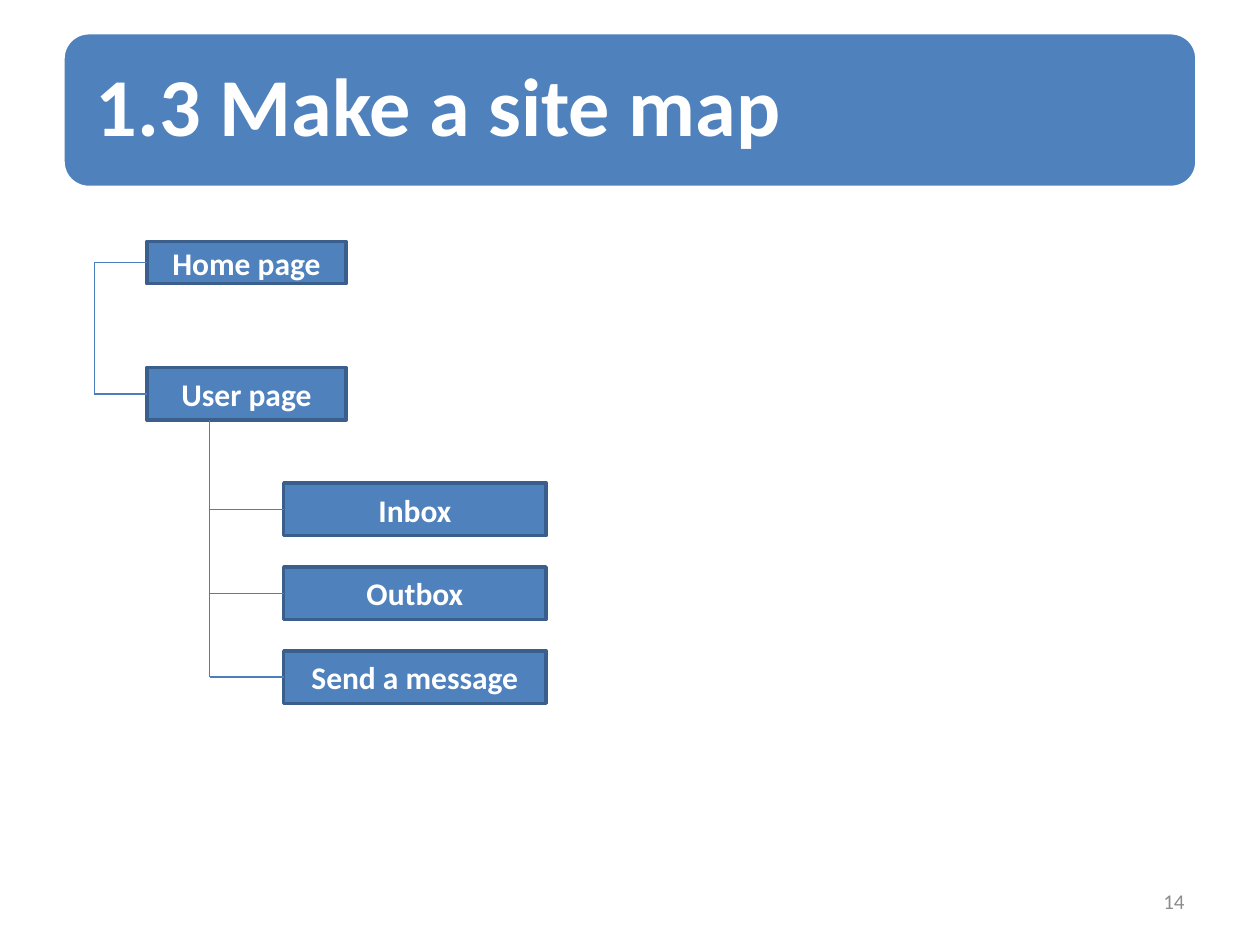
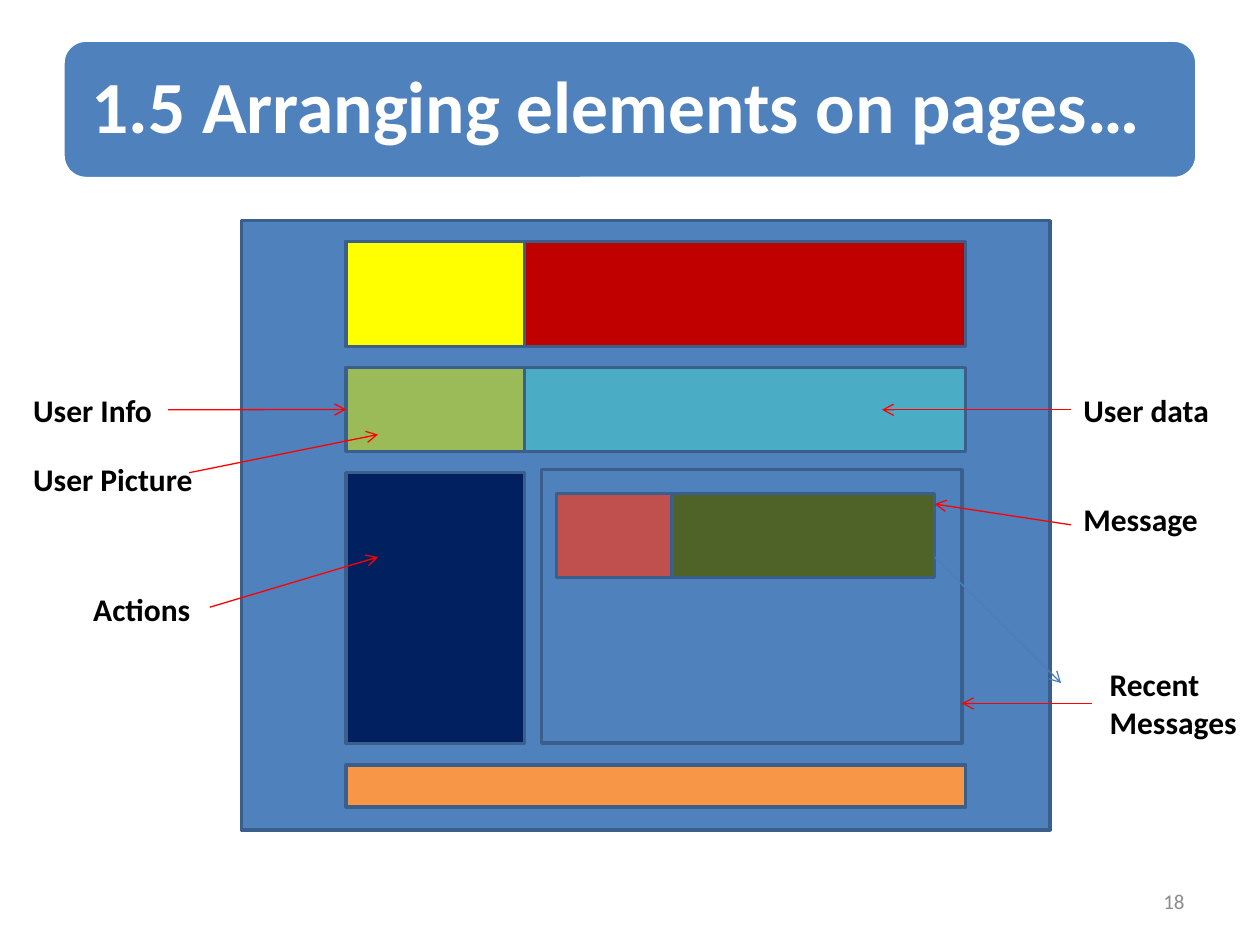
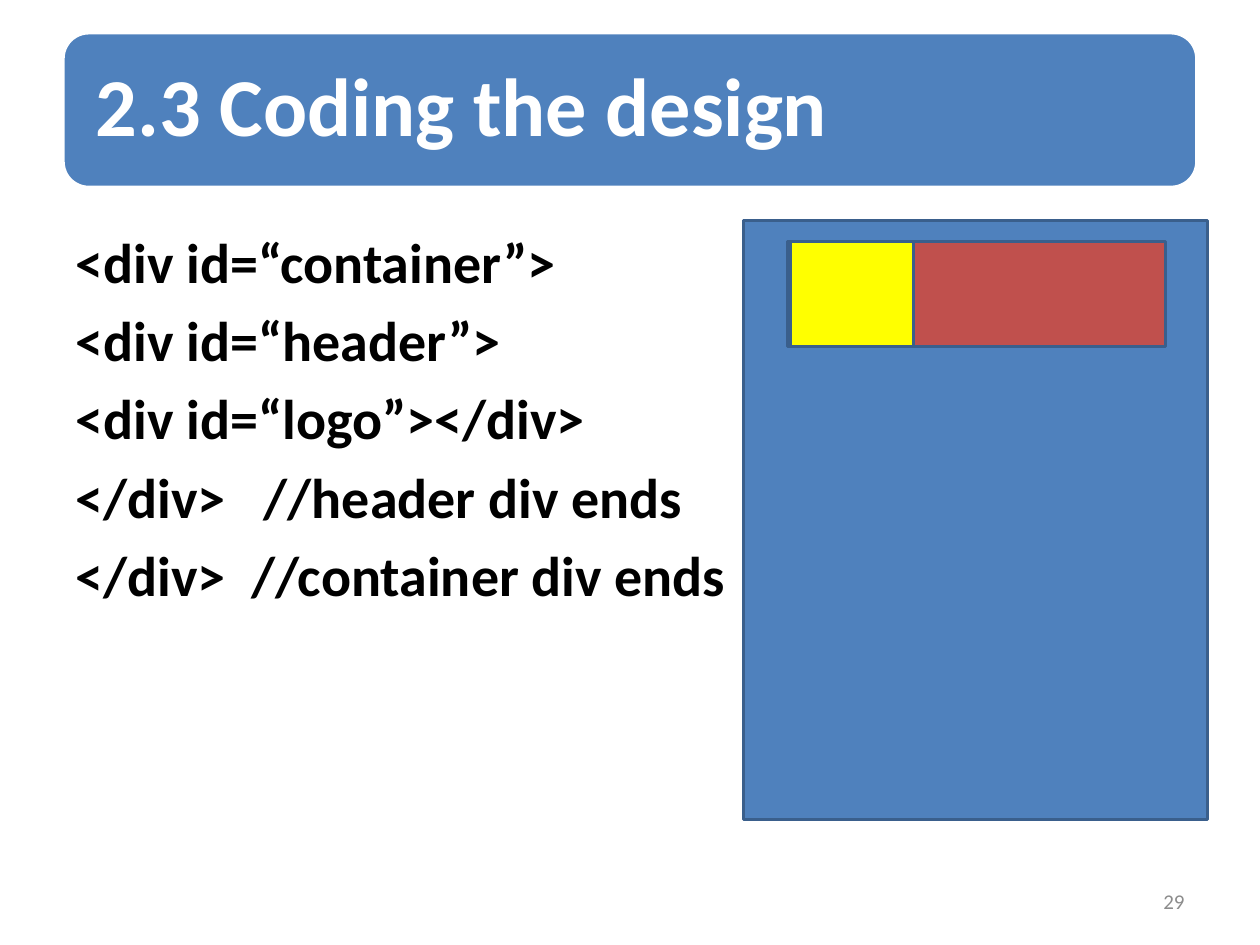
from lxml import etree
from pptx import Presentation
from pptx import util as u
from pptx.dml.color import RGBColor
from pptx.enum import shapes, text
from pptx.oxml.ns import qn

FONT = "Calibri"
COLORS = {
    "blue": "4F81BD", "edge": "3A5F8C", "link": "4B7EBC", "white": "FFFFFF",
    "black": "000000", "grey": "8C8C8C", "arrow": "FF0000", "crimson": "C00000",
    "yellow": "FFFF00", "orange": "F79646", "aqua": "4BACC6", "green": "9BBB59",
    "navy": "002060", "olive": "4F6228", "brick": "C0504D",
}
LEFT, CENTER, RIGHT = text.PP_ALIGN.LEFT, text.PP_ALIGN.CENTER, text.PP_ALIGN.RIGHT
TOP, MIDDLE = text.MSO_ANCHOR.TOP, text.MSO_ANCHOR.MIDDLE
TITLE_ONLY, TITLE_BODY = 5, 1

BAND_LEFT, BAND_WIDTH, BAND_INSET = 1.27, 22.86, 0.15
LARGE_BAND = {"top": 0.66, "height": 3.12, "size": 47, "margin": 0.51}
SMALL_BAND = {"top": 0.81, "height": 2.79, "size": 42, "margin": 0.43}
NUMBER_BOX = (18.2, 17.65, 5.93, 1.02)

HOME = ("Home page", (2.96, 4.87, 4.02, 0.85))
USER = ("User page", (2.96, 7.41, 4.02, 1.06))
CHILDREN = ["Inbox", "Outbox", "Send a message"]
CHILD_LEFT, CHILD_TOP, CHILD_WIDTH, CHILD_HEIGHT = 5.72, 9.74, 5.29, 1.06
CHILD_STEP = 1.69
LOOP_X, TRUNK_X = 1.9, 4.23

LAYOUT_BLOCKS = {
    "page": ("blue", (4.87, 4.45, 16.3, 12.28)),
    "header": ("crimson", (6.98, 4.87, 12.49, 2.12)),
    "logo": ("yellow", (6.98, 4.87, 3.6, 2.12)),
    "footer": ("orange", (6.98, 15.42, 12.49, 0.85)),
    "user data": ("aqua", (6.98, 7.41, 12.49, 1.69)),
    "user info": ("green", (6.98, 7.41, 3.6, 1.69)),
    "actions": ("navy", (6.98, 9.53, 3.6, 5.46)),
    "recent messages": ("blue", (10.92, 9.47, 8.47, 5.51)),
    "message": ("olive", (11.22, 9.95, 7.62, 1.69)),
    "sender": ("brick", (11.22, 9.95, 2.33, 1.69)),
}
LABELS = [
    ("User Info", (0.42, 7.75, 2.96, 1.02)),
    ("User Picture", (0.42, 9.14, 3.81, 1.02)),
    ("User data", (21.59, 7.75, 3.39, 1.02)),
    ("Actions", (1.63, 11.76, 3.18, 1.02)),
    ("Recent Messages", (22.12, 13.28, 3.39, 1.8)),
    ("Message", (21.59, 9.96, 2.96, 1.02)),
]
POINTERS = [
    ((3.81, 9.53), (7.62, 8.76), "arrow"),
    ((21.59, 8.26), (17.78, 8.26), "arrow"),
    ((4.23, 12.24), (7.62, 11.23), "arrow"),
    ((18.84, 11.23), (21.39, 13.77), "link"),
    ((22.01, 14.18), (19.39, 14.18), "arrow"),
    ((21.59, 10.58), (18.84, 10.16), "arrow"),
]

CODE = [
    "<div id=“container”>",
    "<div id=“header”>",
    "<div id=“logo”></div>",
    "</div>   //header div ends",
    "</div>  //container div ends",
]
CODE_BOX = (1.27, 4.45, 22.86, 12.57)
CODE_BLOCKS = {
    "page": ("blue", (14.99, 4.45, 9.35, 12.07)),
    "header": ("brick", (15.88, 4.87, 7.62, 2.12)),
    "logo": ("yellow", (15.93, 4.87, 2.49, 2.12)),
}


def rgb(name):
    return RGBColor.from_string(COLORS[name])


def cm(box):
    return [u.Cm(v) for v in box]


def place(sp, box):
    sp.left, sp.top, sp.width, sp.height = cm(box)


def write(tf, lines, size=18, color="black", bold=True, align=LEFT, anchor=TOP,
          margin=None, spacing=None, gap=0, plain=False):
    tf.word_wrap = True
    tf.auto_size = text.MSO_AUTO_SIZE.NONE
    tf.vertical_anchor = anchor
    if margin is not None:
        tf.margin_left = tf.margin_right = u.Cm(margin)
        tf.margin_top = tf.margin_bottom = u.Cm(margin)
    for i, line in enumerate(lines):
        p = tf.add_paragraph() if i else tf.paragraphs[0]
        if plain:
            pPr = p._p.get_or_add_pPr()
            pPr.set("marL", "0")
            pPr.set("indent", "0")
            etree.SubElement(pPr, qn("a:buNone"))
        p.alignment = align
        p.space_before = u.Pt(gap if i else 0)
        if spacing:
            p.line_spacing = spacing
        r = p.add_run()
        r.text = line
        r.font.name, r.font.size, r.font.bold = FONT, u.Pt(size), bold
        r.font.color.rgb = rgb(color)


def add_block(s, box, fill="blue", label=None, line="edge",
              kind=shapes.MSO_SHAPE.RECTANGLE):
    sp = s.shapes.add_shape(kind, *cm(box))
    sp.shadow.inherit = False
    sp.fill.solid()
    sp.fill.fore_color.rgb = rgb(fill)
    sp.line.color.rgb = rgb(line)
    sp.line.width = u.Pt(2)
    if label:
        write(sp.text_frame, [label], color="white", align=CENTER, anchor=MIDDLE)
    return sp


def add_blocks(s, blocks):
    return {name: add_block(s, box, fill) for name, (fill, box) in blocks.items()}


def add_text(s, label, box, **fmt):
    write(s.shapes.add_textbox(*cm(box)).text_frame, [label], **fmt)


def add_line(s, start, end, color="link", arrow=False):
    c = s.shapes.add_connector(shapes.MSO_CONNECTOR.STRAIGHT, *cm(start + end))
    c.line.color.rgb = rgb(color)
    c.line.width = u.Pt(0.75)
    spPr = c.element.spPr
    if arrow:
        etree.SubElement(spPr.find(qn("a:ln")), qn("a:tailEnd"), type="arrow")
    etree.SubElement(spPr, qn("a:effectLst"))
    return c


def add_slide(prs, title, number, band, layout=TITLE_ONLY):
    s = prs.slides.add_slide(prs.slide_layouts[layout])
    top, height, d = band["top"], band["height"], BAND_INSET
    sp = add_block(s, (BAND_LEFT, top, BAND_WIDTH, height), line="white",
                   kind=shapes.MSO_SHAPE.ROUNDED_RECTANGLE)
    head = s.shapes.title
    head.element.addprevious(sp.element)
    place(head, (BAND_LEFT + d, top + d, BAND_WIDTH - 2 * d, height - 2 * d))
    write(head.text_frame, [title], size=band["size"], color="white",
          anchor=MIDDLE, margin=band["margin"], spacing=0.9)
    add_text(s, str(number), NUMBER_BOX, size=12, color="grey", bold=False,
             align=RIGHT, anchor=MIDDLE)
    return s


def site_map(prs):
    s = add_slide(prs, "1.3 Make a site map", 14, LARGE_BAND)
    loop = []
    for label, box in (HOME, USER):
        sp = add_block(s, box, label=label)
        y = box[1] + box[3] / 2
        add_line(s, (LOOP_X, y), (box[0], y)).end_connect(sp, 1)
        loop.append((LOOP_X, y))
    add_line(s, *loop)

    y_from = USER[1][1] + USER[1][3]
    for i, label in enumerate(CHILDREN):
        top = CHILD_TOP + i * CHILD_STEP
        sp = add_block(s, (CHILD_LEFT, top, CHILD_WIDTH, CHILD_HEIGHT), label=label)
        y = top + CHILD_HEIGHT / 2
        add_line(s, (TRUNK_X, y_from), (TRUNK_X, y))
        add_line(s, (TRUNK_X, y), (CHILD_LEFT, y)).end_connect(sp, 1)
        y_from = y


def page_layout(prs):
    s = add_slide(prs, "1.5 Arranging elements on pages…", 18, SMALL_BAND)
    blocks = add_blocks(s, LAYOUT_BLOCKS)
    info = add_line(s, (3.39, 8.26), (6.98, 8.26), "arrow", arrow=True)
    info.end_connect(blocks["user info"], 1)
    for start, end, color in POINTERS:
        add_line(s, start, end, color, arrow=True)
    for label, box in LABELS:
        add_text(s, label, box)


def coding(prs):
    s = add_slide(prs, "2.3 Coding the design", 29, LARGE_BAND, TITLE_BODY)
    body = s.placeholders[1]
    place(body, CODE_BOX)
    write(body.text_frame, CODE, size=32, gap=6.4, plain=True)
    add_blocks(s, CODE_BLOCKS)


def main():
    prs = Presentation()
    prs.slide_width, prs.slide_height = u.Cm(25.4), u.Cm(19.05)
    site_map(prs)
    page_layout(prs)
    coding(prs)
    prs.save("out.pptx")


if __name__ == "__main__":
    main()
